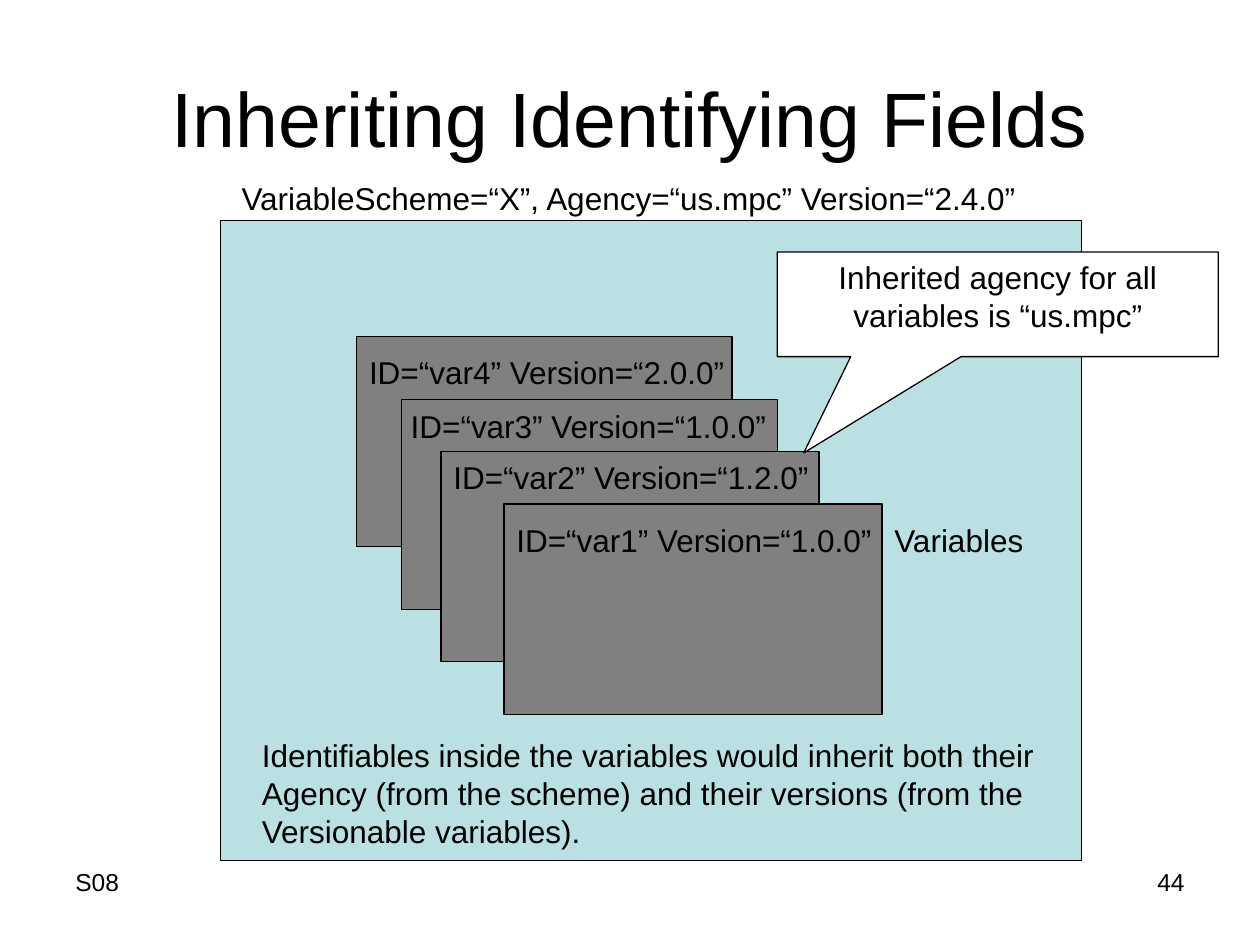
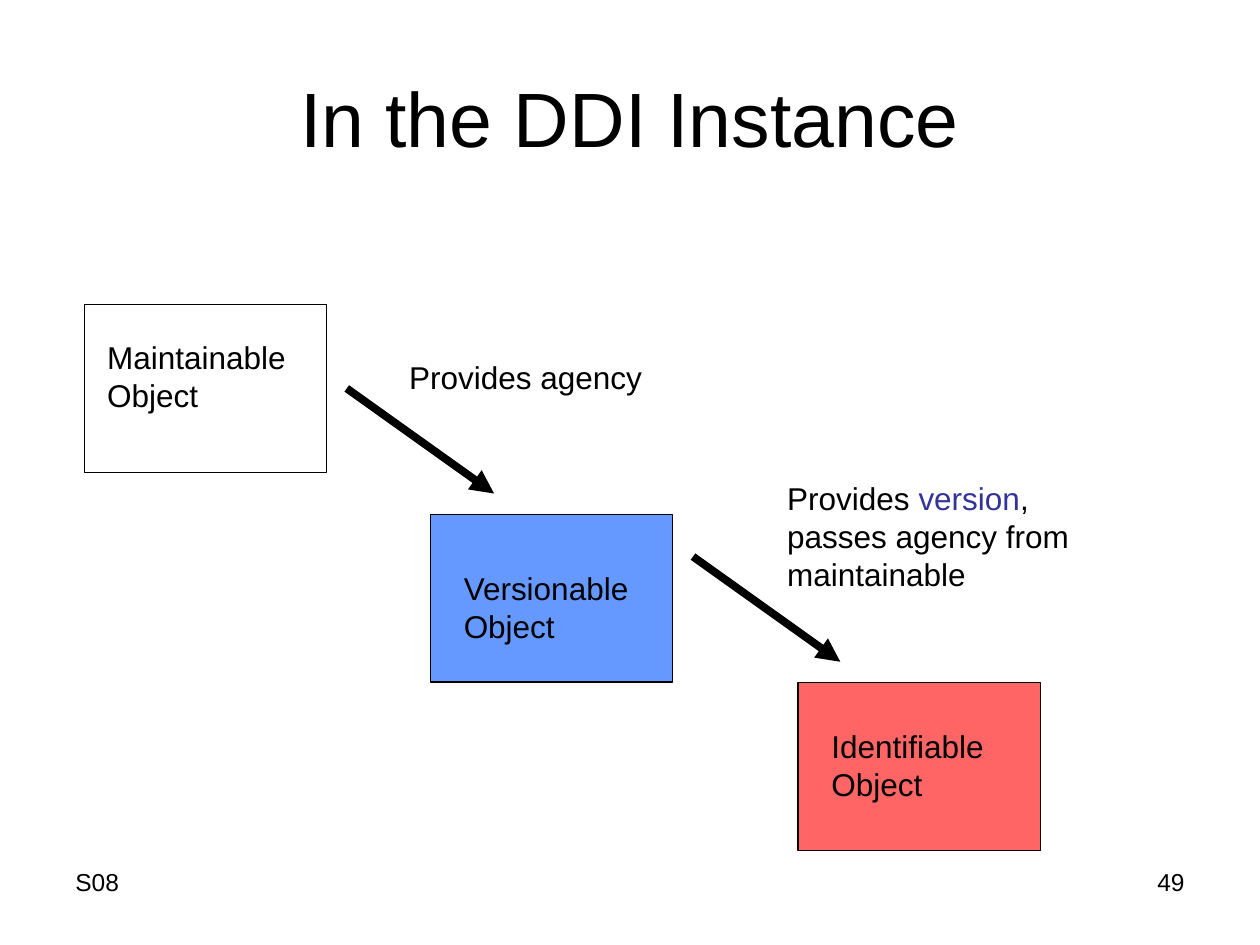
from dataclasses import dataclass

from lxml import etree
from pptx import Presentation
from pptx import util as u
from pptx.dml import color
from pptx.enum import shapes, text
from pptx.oxml import ns

FONT, BLACK, WHITE = "Arial", "000000", "FFFFFF"
BLUE, RED, TEAL, GRAY, INDIGO = "6699FF", "FF6565", "BBE0E3", "808080", "333399"
LEFT, CENTER, RIGHT = text.PP_ALIGN.LEFT, text.PP_ALIGN.CENTER, text.PP_ALIGN.RIGHT
INSET_X, INSET_Y = u.Cm(0.25), u.Cm(0.13)


@dataclass
class Rect:
    """Position and size in centimetres."""
    x: float
    y: float
    w: float
    h: float

    def cm(self) -> list:
        """Return the four values as lengths."""
        return [u.Cm(v) for v in (self.x, self.y, self.w, self.h)]


@dataclass
class Card:
    """A filled box and the label lying on it."""
    box: Rect
    label: Rect
    caption: str
    fill: str | None = GRAY


CARD_H, LABEL_W, LABEL_H = 4.24, 7.7, 1.02
OBJECT_W, OBJECT_H, OBJECT_LABEL_H = 4.88, 3.38, 1.78
ARROW_DX, ARROW_DY = 2.97, 2.12

VARIABLES = [
    Card(Rect(7.19, 6.78, 7.57, CARD_H), Rect(7.19, 6.99, LABEL_W, LABEL_H),
         "ID=“var4” Version=“2.0.0”"),
    Card(Rect(8.1, 8.05, 7.57, CARD_H), Rect(8.03, 8.08, LABEL_W, LABEL_H),
         "ID=“var3” Version=“1.0.0”"),
    Card(Rect(8.89, 9.1, 7.62, CARD_H), Rect(8.89, 9.1, LABEL_W, LABEL_H),
         "ID=“var2” Version=“1.2.0”"),
    Card(Rect(10.16, 10.16, 7.62, CARD_H), Rect(10.16, 10.37, LABEL_W, LABEL_H),
         "ID=“var1” Version=“1.0.0”"),
]

OBJECTS = [
    Card(Rect(1.7, 6.14, OBJECT_W, OBJECT_H), Rect(1.91, 6.68, 4.11, OBJECT_LABEL_H),
         "Maintainable\nObject", None),
    Card(Rect(8.68, 10.37, OBJECT_W, OBJECT_H), Rect(9.1, 11.35, 3.86, OBJECT_LABEL_H),
         "Versionable\nObject", BLUE),
    Card(Rect(16.09, 13.76, OBJECT_W, OBJECT_H), Rect(16.51, 14.53, 3.58, OBJECT_LABEL_H),
         "Identifiable\nObject", RED),
]


def rgb(value: str) -> color.RGBColor:
    """Return the colour for a hex string."""
    return color.RGBColor.from_string(value)


def write(tf, content: str, size: int = 18, align=LEFT, wrap: bool = False,
          anchor=text.MSO_ANCHOR.TOP, accent: str = "") -> None:
    """Fill a text frame, one paragraph a line, with an optional accented word."""
    tf.word_wrap, tf.vertical_anchor = wrap, anchor
    if not wrap:
        tf.auto_size = text.MSO_AUTO_SIZE.SHAPE_TO_FIT_TEXT
    tf.margin_left = tf.margin_right = INSET_X
    tf.margin_top = tf.margin_bottom = INSET_Y
    for i, line in enumerate(content.split("\n")):
        p = tf.add_paragraph() if i else tf.paragraphs[0]
        p.alignment = align
        for part in line.partition(accent) if accent else [line]:
            if part:
                r = p.add_run()
                r.text = part
                r.font.name, r.font.size = FONT, u.Pt(size)
                r.font.color.rgb = rgb(INDIGO if part == accent else BLACK)


def add_text(s, rect: Rect, content: str, **style) -> None:
    """Add a text box."""
    write(s.shapes.add_textbox(*rect.cm()).text_frame, content, **style)


def add_box(s, rect: Rect, fill: str | None, kind=shapes.MSO_SHAPE.RECTANGLE):
    """Add a thinly outlined shape, unfilled when no colour is given."""
    sp = s.shapes.add_shape(kind, *rect.cm())
    sp.shadow.inherit = False
    if fill:
        sp.fill.solid()
        sp.fill.fore_color.rgb = rgb(fill)
    else:
        sp.fill.background()
    sp.line.color.rgb, sp.line.width = rgb(BLACK), u.Pt(0.75)
    return sp


def add_card(s, card: Card) -> None:
    """Add a box with its label."""
    add_box(s, card.box, card.fill)
    add_text(s, card.label, card.caption)


def add_arrow(s, x: float, y: float) -> None:
    """Add a thick arrow running down to the right."""
    sp = s.shapes.add_connector(shapes.MSO_CONNECTOR.STRAIGHT, u.Cm(x), u.Cm(y),
                                u.Cm(x + ARROW_DX), u.Cm(y + ARROW_DY))
    sp.line.color.rgb, sp.line.width = rgb(BLACK), u.Pt(4.5)
    etree.SubElement(sp.line._get_or_add_ln(), ns.qn("a:tailEnd"), type="triangle")
    etree.SubElement(sp._element.spPr, ns.qn("a:effectLst"))


def add_slide(prs, title: str, number: int):
    """Add a blank slide with title and footers."""
    s = prs.slides.add_slide(prs.slide_layouts[6])
    add_text(s, Rect(1.27, 0.76, 22.86, 3.18), title, size=44, align=CENTER,
             wrap=True, anchor=text.MSO_ANCHOR.MIDDLE)
    add_text(s, Rect(1.27, 17.35, 5.92, 1.32), "S08", size=14, wrap=True)
    add_text(s, Rect(18.21, 17.35, 5.92, 1.32), str(number), size=14,
             align=RIGHT, wrap=True)
    return s


def build_inheritance(prs) -> None:
    """Build the slide of variables stacked in their scheme."""
    s = add_slide(prs, "Inheriting Identifying Fields", 44)
    add_box(s, Rect(4.45, 4.45, 17.35, 12.9), TEAL)
    add_text(s, Rect(4.62, 3.48, 16.41, LABEL_H),
             "VariableScheme=“X”, Agency=“us.mpc” Version=“2.4.0”")
    for card in VARIABLES:
        add_card(s, card)
    add_text(s, Rect(17.78, 10.37, 3.15, LABEL_H), "Variables")
    sp = add_box(s, Rect(15.67, 5.08, 8.89, 2.11), WHITE,
                 shapes.MSO_SHAPE.RECTANGULAR_CALLOUT)
    sp.adjustments[0], sp.adjustments[1] = -0.44, 1.42
    write(sp.text_frame, "Inherited agency for all variables is “us.mpc”",
          align=CENTER, wrap=True)
    add_text(s, Rect(5.03, 14.71, 16.26, 2.54),
             "Identifiables inside the variables would inherit both their\n"
             "Agency (from the scheme) and their versions (from the\n"
             "Versionable variables).")


def build_instance(prs) -> None:
    """Build the slide of objects handing down agency and version."""
    s = add_slide(prs, "In the DDI Instance", 49)
    for card in OBJECTS:
        add_card(s, card)
    add_arrow(s, 6.99, 7.83)
    add_arrow(s, 13.97, 11.22)
    add_text(s, Rect(8, 7.09, 5.21, LABEL_H), "Provides agency")
    add_text(s, Rect(15.62, 9.53, 6.6, 2.54),
             "Provides version,\npasses agency from\nmaintainable",
             wrap=True, accent="version")


def main() -> None:
    """Build and save the presentation."""
    prs = Presentation()
    prs.slide_width, prs.slide_height = u.Cm(25.4), u.Cm(19.05)
    build_inheritance(prs)
    build_instance(prs)
    prs.save("out.pptx")


if __name__ == "__main__":
    main()
